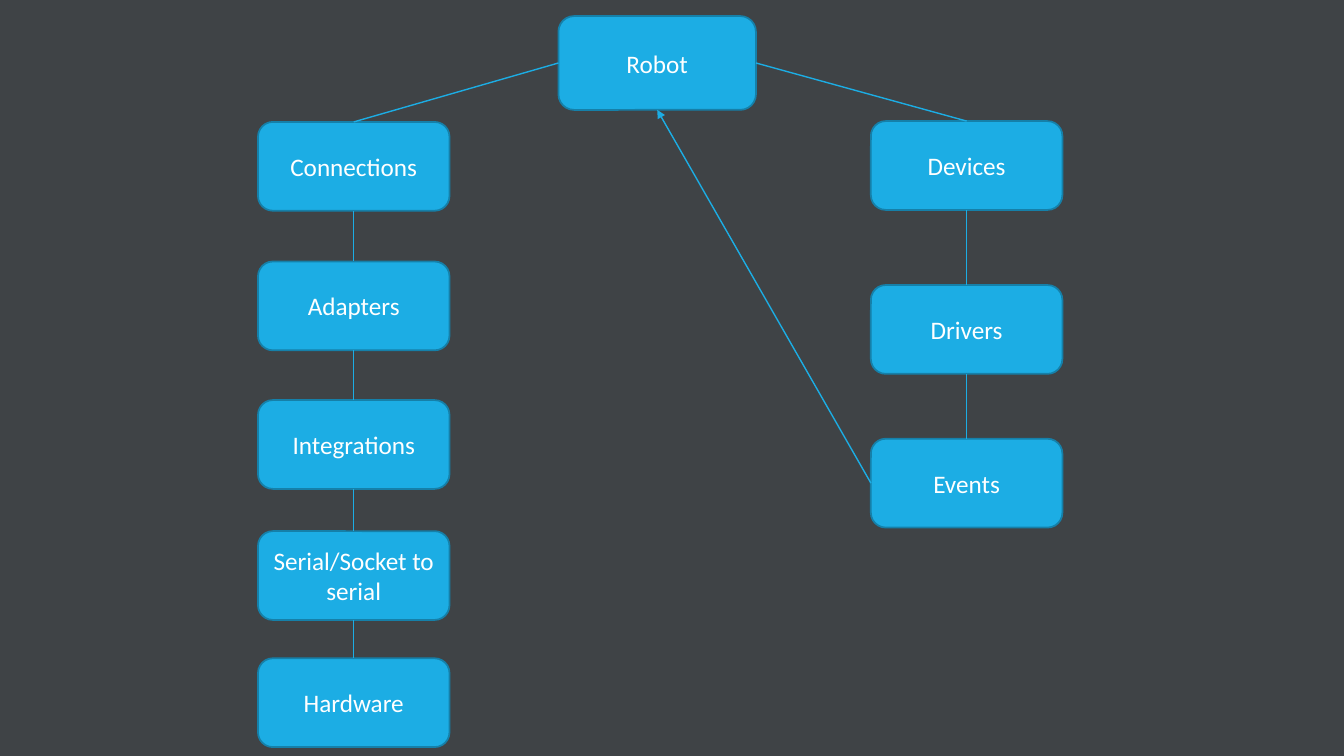
"""Build a slide showing how a robot links to its connections and devices."""
from itertools import pairwise

from lxml.etree import SubElement
from pptx import Presentation
from pptx.dml.color import RGBColor
from pptx.enum.shapes import MSO_CONNECTOR, MSO_SHAPE
from pptx.enum.text import MSO_ANCHOR, PP_ALIGN
from pptx.oxml.ns import qn
from pptx.util import Pt

COLORS = {"background": "3F4346", "box": "1CADE4", "border": "1580A9", "text": "FFFFFF"}
TOP, LEFT, BOTTOM, RIGHT = range(4)


class Diagram:
    font = "Calibri"
    size = 18
    border_width = 1.25
    line_width = 1

    def __init__(self, slide):
        self.slide = slide

    def color(self, name):
        return RGBColor.from_string(COLORS[name])

    def background(self):
        fill = self.slide.background.fill
        fill.solid()
        fill.fore_color.rgb = self.color("background")

    def box(self, text, x, y, w=136.8, h=63.4):
        sp = self.slide.shapes.add_shape(
            MSO_SHAPE.ROUNDED_RECTANGLE, Pt(x), Pt(y), Pt(w), Pt(h))
        sp.shadow.inherit = False
        sp.fill.solid()
        sp.fill.fore_color.rgb = self.color("box")
        sp.line.color.rgb = self.color("border")
        sp.line.width = Pt(self.border_width)
        tf = sp.text_frame
        tf.text = text
        tf.word_wrap = True
        tf.vertical_anchor = MSO_ANCHOR.MIDDLE
        p = tf.paragraphs[0]
        p.alignment = PP_ALIGN.CENTER
        r = p.runs[0]
        r.font.name = self.font
        r.font.size = Pt(self.size)
        r.font.color.rgb = self.color("text")
        return sp

    def link(self, start, start_side, end, end_side, arrow=False):
        line = self.slide.shapes.add_connector(MSO_CONNECTOR.STRAIGHT, 0, 0, 0, 0)
        line.begin_connect(start, start_side)
        line.end_connect(end, end_side)
        line.line.color.rgb = self.color("box")
        line.line.width = Pt(self.line_width)
        if arrow:
            SubElement(line.line._get_or_add_ln(), qn("a:tailEnd"), type="triangle")
        SubElement(line._element.spPr, qn("a:effectLst"))

    def column(self, x, rows):
        boxes = [self.box(text, x, y) for text, y in rows]
        for upper, lower in pairwise(boxes):
            self.link(upper, BOTTOM, lower, TOP)
        return boxes


prs = Presentation()
prs.slide_width, prs.slide_height = Pt(960), Pt(540)
s = Diagram(prs.slides.add_slide(prs.slide_layouts[6]))
s.background()

robot = s.box("Robot", 398.9, 11.5, 141.1, 67)
connections = s.column(184.3, [
    ("Connections", 87.1),
    ("Adapters", 186.8),
    ("Integrations", 285.8),
    ("Serial/Socket to serial", 379.4),
    ("Hardware", 470.2),
])
devices = s.column(622.1, [("Devices", 86.5), ("Drivers", 203.6), ("Events", 313.4)])

s.link(devices[-1], LEFT, robot, BOTTOM, arrow=True)
s.link(devices[0], TOP, robot, RIGHT)
s.link(connections[0], TOP, robot, LEFT)

prs.save("out.pptx")
